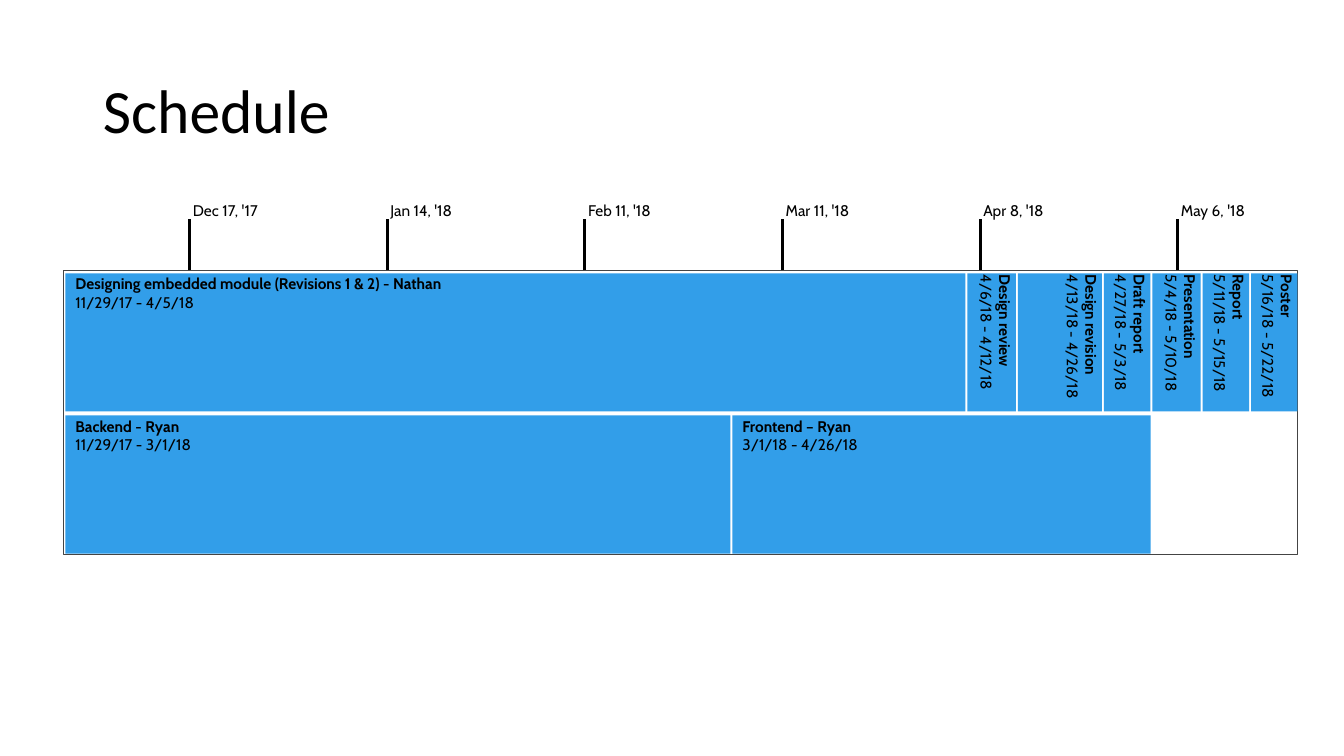
import pptx
import pptx.dml.color
import pptx.enum.shapes
import pptx.enum.text
import pptx.util
from lxml import etree
from pptx.oxml.ns import qn
from pptx.util import Cm

BLACK = pptx.dml.color.RGBColor(0x00, 0x00, 0x00)
GREY = pptx.dml.color.RGBColor(0x44, 0x44, 0x44)
BLUE = pptx.dml.color.RGBColor(0x32, 0x9E, 0xE9)

DATES = ["Dec 17, '17", "Jan 14, '18", "Feb 11, '18",
         "Mar 11, '18", "Apr 8, '18", "May 6, '18"]
FIRST_DATE, DATE_STEP = 4.78, 4.98

FRAME_LEFT, FRAME_TOP, FRAME_WIDTH, FRAME_HEIGHT = 1.6, 6.81, 31.09, 7.16
ROW_LEFT, ROW_HEIGHT, TASK_GAP = 1.65, 3.48, 0.05

# Each row: top, then tasks as (name, dates, width, vertical text)
ROWS = [
    (6.89, [
        ("Designing embedded module (Revisions 1 & 2) - Nathan",
         "11/29/17 - 4/5/18", 22.68, False),
        ("Design review", "4/6/18 - 4/12/18", 1.22, True),
        ("Design revision", "4/13/18 - 4/26/18", 2.12, True),
        ("Draft report", "4/27/18 - 5/3/18", 1.17, True),
        ("Presentation", "5/4/18 - 5/10/18", 1.22, True),
        ("Report", "5/11/18 - 5/15/18", 1.17, True),
        ("Poster", "5/16/18 - 5/22/18", 1.17, True),
    ]),
    (10.47, [
        ("Backend - Ryan", "11/29/17 - 3/1/18", 16.76, False),
        ("Frontend – Ryan", "3/1/18 - 4/26/18", 10.54, False),
    ]),
]


class Timeline:
    """Holds the slide, its timeline group and the text style."""

    font_name = "Cabin"
    font_size = 11

    def __init__(self, slide):
        self.slide = slide
        self.shapes = slide.shapes.add_group_shape().shapes

    def add_run(self, paragraph, text, size, name, bold=False):
        run = paragraph.add_run()
        run.text = text
        run.font.name = name
        run.font.size = pptx.util.Pt(size)
        run.font.bold = bold
        run.font.color.rgb = BLACK

    def prepare_text(self, shape, left, other):
        frame = shape.text_frame
        frame.word_wrap = True
        frame.vertical_anchor = pptx.enum.text.MSO_ANCHOR.TOP
        frame.margin_left = Cm(left)
        frame.margin_top = frame.margin_right = frame.margin_bottom = Cm(other)
        frame.paragraphs[0].alignment = pptx.enum.text.PP_ALIGN.LEFT
        return frame

    def title(self, text):
        title = self.slide.shapes.title
        title.left, title.top = Cm(2.34), Cm(1.02)
        title.width, title.height = Cm(29.21), Cm(3.68)
        title.text_frame.vertical_anchor = pptx.enum.text.MSO_ANCHOR.MIDDLE
        paragraph = title.text_frame.paragraphs[0]
        paragraph.alignment = pptx.enum.text.PP_ALIGN.LEFT
        paragraph.line_spacing = 0.9
        self.add_run(paragraph, text, 44, "Calibri")

    def rectangle(self, left, top, width, height):
        shape = self.shapes.add_shape(
            pptx.enum.shapes.MSO_SHAPE.RECTANGLE,
            Cm(left), Cm(top), Cm(width), Cm(height))
        shape.shadow.inherit = False
        return shape

    def frame(self):
        shape = self.rectangle(FRAME_LEFT, FRAME_TOP, FRAME_WIDTH, FRAME_HEIGHT)
        shape.fill.background()
        shape.line.color.rgb = GREY
        shape.line.width = pptx.util.Pt(0)

    def date_mark(self, left, text):
        label = self.shapes.add_textbox(Cm(left), Cm(5.06), Cm(3), Cm(1.75))
        frame = self.prepare_text(label, 0.08, 0)
        self.add_run(frame.paragraphs[0], text, self.font_size, self.font_name)
        tick = self.shapes.add_connector(
            pptx.enum.shapes.MSO_CONNECTOR.STRAIGHT,
            Cm(left), Cm(FRAME_TOP), Cm(left), Cm(5.51))
        tick.line.color.rgb = BLACK
        tick.line.width = pptx.util.Pt(0)
        etree.SubElement(tick._element.spPr, qn("a:effectLst"))

    def task(self, left, top, width, name, dates, vertical):
        shape = self.rectangle(left, top, width, ROW_HEIGHT)
        shape.fill.solid()
        shape.fill.fore_color.rgb = BLUE
        shape.line.fill.background()
        frame = self.prepare_text(shape, 0.25, 0.03)
        if vertical:
            frame._txBody.bodyPr.set("vert", "vert")
        paragraph = frame.paragraphs[0]
        self.add_run(paragraph, name, self.font_size, self.font_name, bold=True)
        paragraph.add_line_break()
        self.add_run(paragraph, dates, self.font_size, self.font_name)


def main():
    presentation = pptx.Presentation()
    presentation.slide_width, presentation.slide_height = Cm(33.87), Cm(19.05)
    slide = presentation.slides.add_slide(presentation.slide_layouts[5])
    timeline = Timeline(slide)
    timeline.title("Schedule")

    # Frame and date scale
    timeline.frame()
    for index, date in enumerate(DATES):
        timeline.date_mark(FIRST_DATE + index * DATE_STEP, date)

    # Task bars, laid side by side in each row
    for top, tasks in ROWS:
        left = ROW_LEFT
        for name, dates, width, vertical in tasks:
            timeline.task(left, top, width, name, dates, vertical)
            left += width + TASK_GAP

    presentation.save("out.pptx")


if __name__ == "__main__":
    main()
